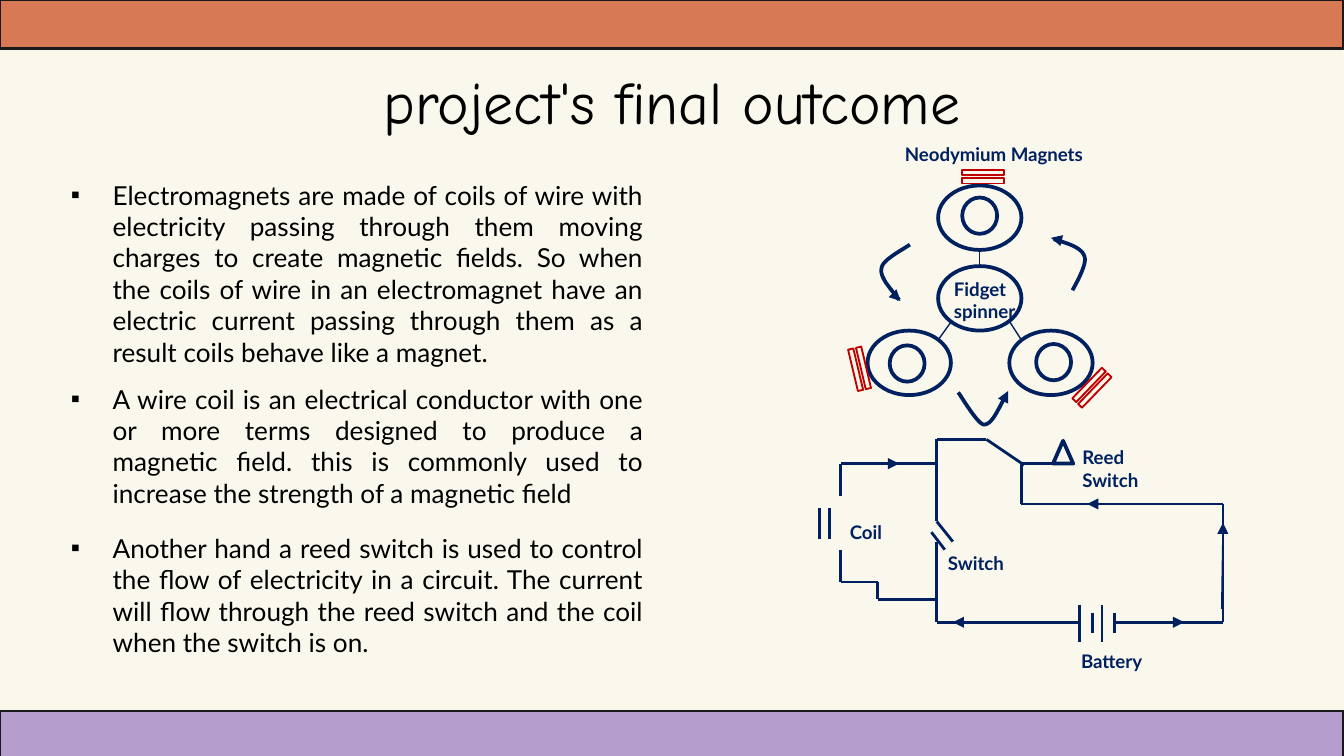
from lxml import etree
from pptx import Presentation, util as u
from pptx.dml.color import RGBColor
from pptx.enum import shapes, text
from pptx.oxml.ns import qn

NAVY, RED, INK, BLACK = "002060", "C00000", "191919", "000000"
FORM = shapes.MSO_SHAPE


def hue(code):
    return RGBColor.from_string(code)


def write(frame, words, size=10, font="Lato", color=NAVY, bold=False,
          align="LEFT", anchor="TOP", pad=0.05, bullet=None):
    frame.word_wrap = True
    frame.vertical_anchor = text.MSO_ANCHOR[anchor]
    frame.margin_left = frame.margin_right = u.Inches(0.1)
    frame.margin_top = frame.margin_bottom = u.Inches(pad)
    para = frame.paragraphs[0]
    para.alignment = text.PP_ALIGN[align]
    if bullet:
        props = para._p.get_or_add_pPr()
        props.set("marL", str(u.Inches(0.31)))
        props.set("indent", str(-u.Inches(0.31)))
        tint = etree.SubElement(props, qn("a:buClr"))
        etree.SubElement(tint, qn("a:srgbClr"), val=color)
        etree.SubElement(props, qn("a:buFont"), typeface="Arial")
        etree.SubElement(props, qn("a:buChar"), char=bullet)
    run = para.add_run()
    run.text = words
    run.font.size = u.Pt(size)
    run.font.name = font
    run.font.bold = bold
    run.font.color.rgb = hue(color)


def bend(a, b, c, d, steps=12):
    for i in range(1, steps + 1):
        t = i / steps
        s = 1 - t
        yield tuple(s**3 * p + 3 * s * s * t * q + 3 * s * t * t * r + t**3 * e
                    for p, q, r, e in zip(a, b, c, d))


class Page:
    def __init__(self, deck, back):
        self.slide = deck.slides.add_slide(deck.slide_layouts[6])
        self.items = self.slide.shapes
        self.unit = deck.slide_width / 100
        self.slide.background.fill.solid()
        self.slide.background.fill.fore_color.rgb = hue(back)

    def grid(self, *cells):
        return [round(cell * self.unit) for cell in cells]

    def style(self, item, fill, line, width):
        item.shadow.inherit = False
        if fill:
            item.fill.solid()
            item.fill.fore_color.rgb = hue(fill)
        else:
            item.fill.background()
        item.line.color.rgb = hue(line)
        item.line.width = u.Pt(width)

    def shape(self, kind, *box, fill=None, line=NAVY, width=2, turn=0):
        item = self.items.add_shape(kind, *self.grid(*box))
        item.rotation = turn
        self.style(item, fill, line, width)

    def label(self, words, *box, **look):
        write(self.items.add_textbox(*self.grid(*box)).text_frame, words, **look)

    def wire(self, *points, width=1.5, arrow=False):
        for start, end in zip(points, points[1:]):
            item = self.items.add_connector(shapes.MSO_CONNECTOR.STRAIGHT,
                                            *self.grid(*start, *end))
            item.line.color.rgb = hue(NAVY)
            item.line.width = u.Pt(width)
            if arrow:
                etree.SubElement(item.line._get_or_add_ln(), qn("a:tailEnd"), type="triangle")
            etree.SubElement(item._element.spPr, qn("a:effectLst"))

    def curve(self, *knots):
        path = self.items.build_freeform(*self.grid(*knots[0]))
        for i in range(0, len(knots) - 1, 3):
            path.add_line_segments([self.grid(*p) for p in bend(*knots[i:i + 4])], close=False)
        self.style(path.convert_to_shape(), None, NAVY, 2)


def main():
    deck = Presentation()
    deck.slide_width = u.Inches(10)
    deck.slide_height = deck.slide_width * 9 // 16
    page = Page(deck, "FAF8EC")

    for top, fill in ((0, "D77955"), (52.9, "B59ECE")):
        page.shape(FORM.RECTANGLE, 0, top, 100, 3.6, fill=fill, line=INK, width=1.5)
    page.label("project's final outcome", 7.85, 4.35, 84.3, 6.3, size=32, font="Comic Neue",
               color=BLACK, align="CENTER", anchor="MIDDLE", pad=0.1)

    for top, high, words in (
        (12.33, 16, "Electromagnets are made of coils of wire with electricity passing through "
         "them moving charges to create magnetic fields. So when the coils of wire in an "
         "electromagnet have an electric current passing through them as a result coils "
         "behave like a magnet."),
        (27.5, 11.4, "A wire coil is an electrical conductor with one or more terms designed to "
         "produce a magnetic field. this is commonly used to increase the strength of a "
         "magnetic field"),
        (38.6, 11.4, "Another hand a reed switch is used to control the flow of electricity in a "
         "circuit. The current will flow through the reed switch and the coil when the "
         "switch is on."),
    ):
        page.label(words, 4.3, top, 44.55, high, size=14, color=BLACK, align="JUSTIFY",
                   pad=0.1, bullet="▪")

    for left, top in ((69.8, 13.8), (69.8, 19.8), (75.1, 24.6), (64.55, 24.6)):
        page.shape(FORM.OVAL, left, top, 6.2, 4.8)
    for left, top in ((71.6, 14.7), (77.1, 25.6), (66.2, 25.7)):
        page.shape(FORM.OVAL, left, top, 2.6, 2.7)
    for arm in (((72.9, 18.6), (72.9, 19.8)), ((70.8, 23.9), (69.8, 25.3)),
                ((75.1, 23.9), (76, 25.3))):
        page.wire(*arm, width=0.75)
    for left, top, turn in ((79.1, 28, 314), (61.8, 26.6, 76.7), (71, 12.3, 180)):
        page.shape(FORM.MATH_EQUAL, left, top, 4.3, 1.7, line=RED, width=1, turn=turn)

    for run in (
        ((76.2, 34.6), (73.4, 32.7), (69.7, 32.7), (69.7, 38.8), (70.9, 40.3)),
        ((69.3, 39.6), (70.3, 40.9)),
        ((69.7, 40.3), (69.7, 46.3), (80.3, 46.3)),
        ((82.9, 46.3), (91, 46.3), (91, 37.5), (76, 37.5), (76, 34.5), (79.9, 34.5)),
        ((69.8, 34.5), (62.55, 34.5), (62.55, 36.9)),
        ((62.55, 40.9), (62.55, 43.3), (65.3, 43.3), (65.3, 44.6), (69.7, 44.6)),
    ):
        page.wire(*run)
    for x, top, end in ((80.3, 45, 47.8), (81.3, 45.6, 47.1), (82, 45, 47.8),
                        (82.9, 45.6, 47.1), (61, 37.8, 40.1), (61.7, 37.8, 40.1)):
        page.wire((x, top), (x, end))
    page.shape(FORM.ISOSCELES_TRIANGLE, 78.35, 32.8, 1.5, 1.7)

    for words, *box in (
        ("Coil", 62.25, 38.25, 6.9, 2.7),
        ("Battery", 79.45, 47.85, 6.9, 2.7),
        ("Reed Switch", 79.55, 32.7, 9.1, 2.7),
        ("Fidget spinner", 70, 20.15, 8, 4.4),
        ("Neodymium Magnets", 66.35, 10.15, 15.6, 2.7),
        ("Switch", 69.55, 40.6, 6.9, 2.7),
    ):
        page.label(words, *box, bold=True)

    page.curve((78.4, 17.8), (79.4, 18.1), (80.5, 18.4), (80.7, 19.1),
               (80.9, 19.7), (80, 21.2), (79.8, 21.6))
    page.curve((66.9, 22.3), (66.2, 21.4), (65.4, 20.6), (65.6, 19.9),
               (65.7, 19.3), (67.3, 18.5), (67.7, 18.2))
    page.curve((74.7, 29.7), (74.2, 30.6), (73.8, 31.6), (73.2, 31.6),
               (72.7, 31.5), (71.6, 29.6), (71.3, 29.2))
    for flow in (
        ((63.7, 34.5), (66.9, 34.5)), ((90.9, 45.3), (91, 38.9)),
        ((84.1, 46.3), (88.1, 46.3)), ((86.3, 37.5), (80.9, 37.5)),
        ((76.3, 46.3), (70.9, 46.3)), ((78.6, 17.8), (78.2, 17.7)),
        ((66.7, 22.1), (67, 22.4)), ((74.8, 29.5), (75, 29.1)),
    ):
        page.wire(*flow, width=0.75, arrow=True)

    deck.save("out.pptx")


if __name__ == "__main__":
    main()
